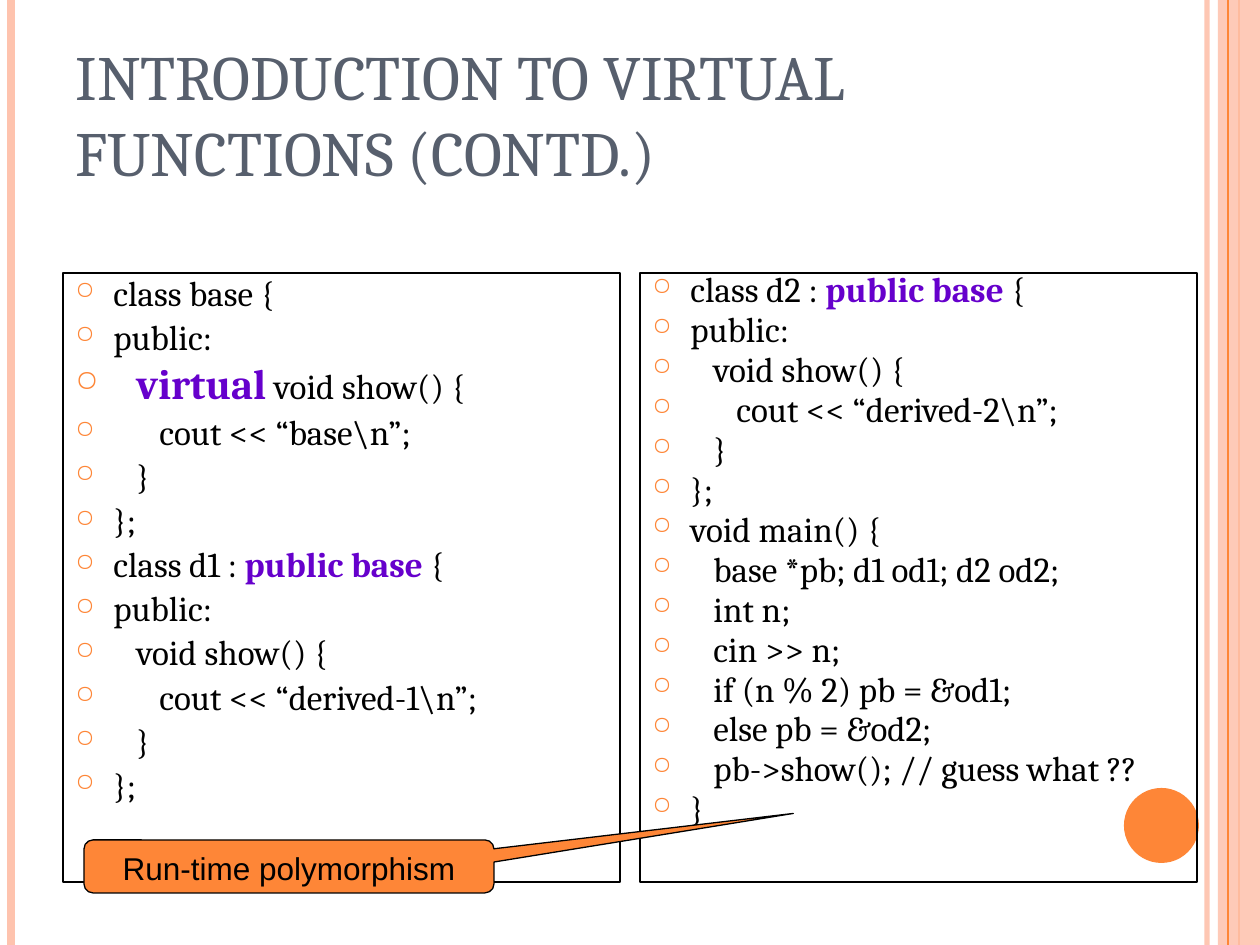
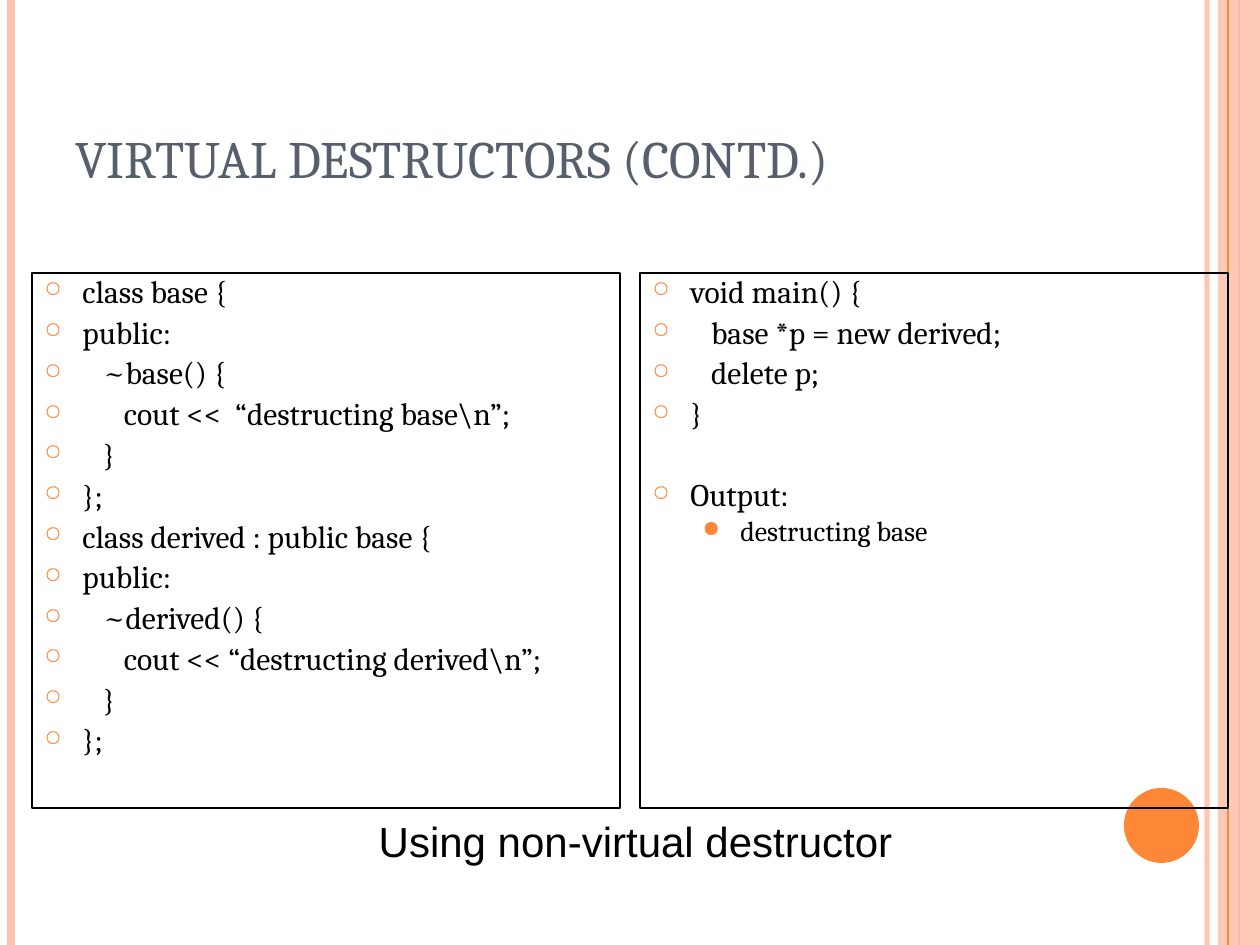
from lxml.etree import SubElement
from pptx import Presentation
from pptx.dml.color import RGBColor
from pptx.enum.shapes import MSO_CONNECTOR, MSO_SHAPE
from pptx.enum.text import MSO_ANCHOR, MSO_AUTO_SIZE, PP_ALIGN
from pptx.oxml.ns import qn
from pptx.util import Pt

PX = 914400 / 126
WIDTH, HEIGHT = 1260, 945
COLORS = {
    "peach": "FEC3AE",
    "orange": "FE8637",
    "slate": "575F6D",
    "keyword": "6600CC",
    "black": "000000",
}
CODE_TOP = 273
LEFT_BOX_END, RIGHT_BOX_START = 620, 640
CODE_MARGIN = 38
CODE_STEP = 23


def px(*lengths):
    return [round(length * PX) for length in lengths]


def write(para, text, size, font="Cambria", color="black", align=PP_ALIGN.LEFT,
          spacing=1.0, before=0, bullet=None, bullet_size=70, margin=0, hanging=0):
    """Fill a paragraph; words between bars are set as bold keywords."""
    para.alignment = align
    para.line_spacing = spacing
    para.space_before = Pt(before)
    for index, part in enumerate(text.split("|")):
        if not part:
            continue
        span = para.add_run()
        span.text = part
        is_keyword = index % 2 == 1
        span.font.name = font
        span.font.size = Pt(24 if part == "virtual" else size)
        span.font.bold = is_keyword
        span.font.color.rgb = RGBColor.from_string(COLORS["keyword" if is_keyword else color])
    if bullet:
        properties = para._p.get_or_add_pPr()
        left, indent = px(margin, -hanging)
        properties.set("marL", str(left))
        properties.set("indent", str(indent))
        tint = SubElement(properties, qn("a:buClr"))
        SubElement(tint, qn("a:srgbClr"), val=COLORS["orange"])
        SubElement(properties, qn("a:buSzPct"), val=str(bullet_size * 1000))
        SubElement(properties, qn("a:buChar"), char=bullet)


deck = Presentation()
deck.slide_width, deck.slide_height = px(WIDTH, HEIGHT)
layout = deck.slide_layouts[5]

pages = []
for title_text, title_size in [
    ("INTRODUCTION TO VIRTUAL FUNCTIONS (CONTD.)", 36),
    ("VIRTUAL DESTRUCTORS (CONTD.)", 30),
]:
    page = deck.slides.add_slide(layout)
    title = page.shapes.title
    title.left, title.top, title.width, title.height = px(63, 38, 1029, 157)
    title.text_frame.auto_size = MSO_AUTO_SIZE.NONE
    title.text_frame.vertical_anchor = MSO_ANCHOR.BOTTOM
    write(title.text_frame.paragraphs[0], title_text, title_size, color="slate")
    pages.append(page)
functions_page, destructors_page = pages

# Side bands and circle, drawn once and moved into the shared layout
decorations = []
for x, color, weight, opacity in [
    (1207, "peach", 3, 93),
    (11, "peach", 4.5, 100),
    (1239, "orange", 1.5, 100),
    (1228, "orange", 0.75, 100),
]:
    band = functions_page.shapes.add_connector(MSO_CONNECTOR.STRAIGHT, *px(x, 0, x, HEIGHT))
    band.line.width = Pt(weight)
    band.line.color.rgb = RGBColor.from_string(COLORS[color])
    SubElement(band.element.spPr, qn("a:effectLst"))
    decorations.append((band, opacity))
for kind, area, color, opacity in [
    (MSO_SHAPE.RECTANGLE, (1218, 0, 42, HEIGHT), "peach", 87),
    (MSO_SHAPE.OVAL, (1124, 788, 75, 75), "orange", 100),
]:
    shape = functions_page.shapes.add_shape(kind, *px(*area))
    shape.shadow.inherit = False
    shape.fill.solid()
    shape.fill.fore_color.rgb = RGBColor.from_string(COLORS[color])
    shape.line.fill.background()
    decorations.append((shape, opacity))

# The translucent strip lies under the thin orange line
thin_line = decorations.pop(3)
decorations.insert(4, thin_line)
for index, (shape, opacity) in enumerate(decorations):
    if opacity < 100:
        tint = next(shape.element.iter(qn("a:srgbClr")))
        SubElement(tint, qn("a:alpha"), val=str(opacity * 1000))
    next(shape.element.iter(qn("p:cNvPr"))).set("id", str(100 + index))
    layout.shapes.element.insert(2 + index, shape.element)

base_and_d1 = r"""class base {
public:
   |virtual| void show() {
      cout << “base\n”;
   }
};
class d1 : |public base| {
public:
   void show() {
      cout << “derived-1\n”;
   }
};"""
d2_and_main = r"""class d2 : |public base| {
public:
   void show() {
      cout << “derived-2\n”;
   }
};
void main() {
   base *pb; d1 od1; d2 od2;
   int n;
   cin >> n;
   if (n % 2) pb = &od1;
   else pb = &od2;
   pb->show(); // guess what ??
}"""
base_and_derived = r"""class base {
public:
   ~base() {
      cout <<  “destructing base\n”;
   }
};
class derived : public base {
public:
   ~derived() {
      cout << “destructing derived\n”;
   }
};"""
main_and_output = """void main() {
   base *p = new derived;
   delete p;
}
Output:"""

# Code boxes; three leading spaces in a line make one indent step
for page, left, width, height, size, spacing, code in [
    (functions_page, LEFT_BOX_END - 557, 557, 609, 20, 0.8, base_and_d1),
    (functions_page, RIGHT_BOX_START, 557, 609, 20, 0.7, d2_and_main),
    (destructors_page, LEFT_BOX_END - 588, 588, 535, 18, 0.8, base_and_derived),
    (destructors_page, RIGHT_BOX_START, 588, 535, 18, 0.8, main_and_output),
]:
    box = page.shapes.add_shape(MSO_SHAPE.RECTANGLE, *px(left, CODE_TOP, width, height))
    box.shadow.inherit = False
    box.fill.background()
    box.line.width = Pt(0.75)
    box.line.color.rgb = RGBColor.from_string(COLORS["black"])
    frame = box.text_frame
    frame.word_wrap = True
    frame.vertical_anchor = MSO_ANCHOR.TOP
    for index, line in enumerate(code.splitlines()):
        para = frame.paragraphs[0] if index == 0 else frame.add_paragraph()
        words = line.lstrip()
        depth = (len(line) - len(words)) // 3
        margin = CODE_MARGIN + depth * CODE_STEP * size / 20
        write(para, words, size, spacing=spacing, before=29 if words == "Output:" else 6,
              bullet="○", margin=margin, hanging=margin)
    if code == main_and_output:
        para = frame.add_paragraph()
        para.level = 1
        write(para, "destructing base", 16, spacing=spacing, before=4,
              bullet="●", bullet_size=80, margin=88, hanging=CODE_MARGIN)

callout = functions_page.shapes.add_shape(
    MSO_SHAPE.ROUNDED_RECTANGULAR_CALLOUT, *px(84, 840, 410, 53))
for index, value in enumerate([1.23, -1, 0.17]):
    callout.adjustments[index] = value
callout.shadow.inherit = False
callout.fill.solid()
callout.fill.fore_color.rgb = RGBColor.from_string(COLORS["orange"])
callout.line.width = Pt(0.75)
callout.line.color.rgb = RGBColor.from_string(COLORS["black"])
callout.text_frame.word_wrap = True
callout.text_frame.vertical_anchor = MSO_ANCHOR.TOP
write(callout.text_frame.paragraphs[0], "Run-time polymorphism", 18,
      font="Arial", align=PP_ALIGN.CENTER)

caption = destructors_page.shapes.add_textbox(*px(357, 809, 557, 63))
caption.text_frame.word_wrap = True
write(caption.text_frame.paragraphs[0], "Using non-virtual destructor", 24,
      font="Arial", align=PP_ALIGN.CENTER)

deck.save("out.pptx")
